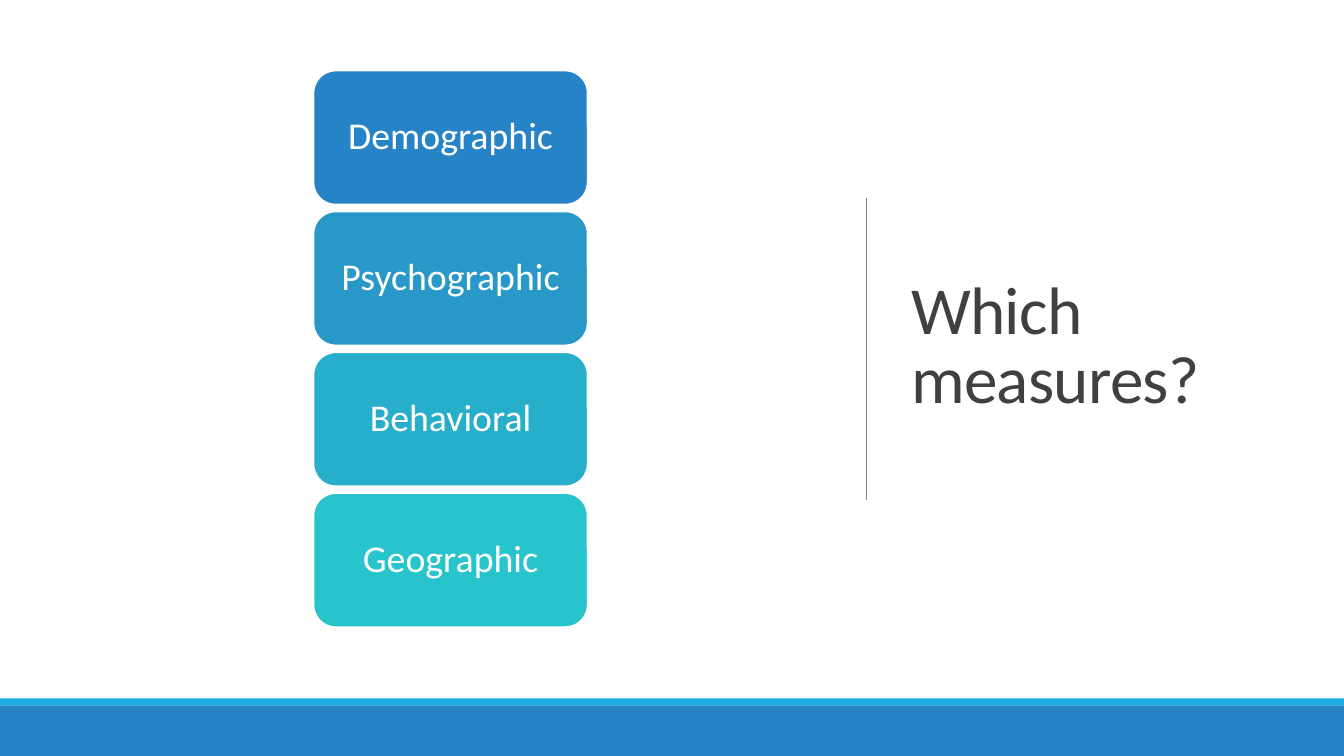
import pptx
import pptx.dml.color
import pptx.enum.shapes
import pptx.enum.text
import pptx.oxml.ns
import pptx.util
from lxml import etree

COLORS = {
    "white": "FFFFFF",
    "title": "404040",
    "divider": "808080",
    "stripe": "1CADE4",
    "footer": "2683C6",
}
CARDS = [
    ("Demographic", "2683C6"),
    ("Psychographic", "2798C8"),
    ("Behavioral", "27AECA"),
    ("Geographic", "28C4CC"),
]
SHAPES = pptx.enum.shapes.MSO_SHAPE

deck = pptx.Presentation()
deck.slide_width = pptx.util.Inches(13.33)
deck.slide_height = pptx.util.Inches(7.5)
page = deck.slides.add_slide(deck.slide_layouts[6])

# The slide is a grid of 40 columns and 30 rows.
column = deck.slide_width / 40
row = deck.slide_height / 30


def add_block(preset, left, top, width, height, color):
    """Add a filled shape placed in grid columns and rows."""
    block = page.shapes.add_shape(
        preset, int(left * column), int(top * row), int(width * column), int(height * row))
    block.shadow.inherit = False
    block.fill.solid()
    block.fill.fore_color.rgb = pptx.dml.color.RGBColor.from_string(color)
    block.line.fill.background()
    return block


def write(box, text, size, color, line_spacing):
    """Fill a box with one vertically centred paragraph and return its parts."""
    box.text_frame.word_wrap = True
    box.text_frame.vertical_anchor = pptx.enum.text.MSO_ANCHOR.MIDDLE
    para = box.text_frame.paragraphs[0]
    para.line_spacing = line_spacing
    span = para.add_run()
    span.text = text
    span.font.name = "Calibri"
    span.font.size = pptx.util.Pt(size)
    span.font.color.rgb = pptx.dml.color.RGBColor.from_string(color)
    return para, span


# Footer bands
add_block(SHAPES.RECTANGLE, 0, 27.72, 40, 0.28, COLORS["stripe"])
add_block(SHAPES.RECTANGLE, 0, 28, 40, 2, COLORS["footer"])

# Title and divider
title = page.shapes.add_textbox(
    int(26.82 * column), int(2.76 * row), int(11.07 * column), int(22.12 * row))
para, span = write(title, "Which measures?", 48, COLORS["title"], 0.85)
span.font._element.set("spc", "-50")

divider_x = int(25.77 * column)
divider = page.shapes.add_connector(
    pptx.enum.shapes.MSO_CONNECTOR.STRAIGHT,
    divider_x, int(7.84 * row), divider_x, int(19.84 * row))
divider.line.width = pptx.util.Pt(0.5)
divider.line.color.rgb = pptx.dml.color.RGBColor.from_string(COLORS["divider"])
etree.SubElement(divider._element.spPr, pptx.oxml.ns.qn("a:effectLst"))

# Stack of measure cards
card_height, card_gap = 5.32, 0.27
for index, (measure, color) in enumerate(CARDS):
    card_top = 2.8 + index * (card_height + card_gap)
    card = add_block(SHAPES.ROUNDED_RECTANGLE, 9.33, card_top, 8.16, card_height, color)
    card.line.width = pptx.util.Pt(1.25)
    card.line.color.rgb = pptx.dml.color.RGBColor.from_string(COLORS["white"])
    frame = card.text_frame
    frame.margin_left = frame.margin_right = pptx.util.Inches(0.11)
    frame.margin_top = frame.margin_bottom = pptx.util.Inches(0.06)
    para, span = write(card, measure, 27, COLORS["white"], 0.9)
    para.alignment = pptx.enum.text.PP_ALIGN.CENTER

deck.save("out.pptx")
